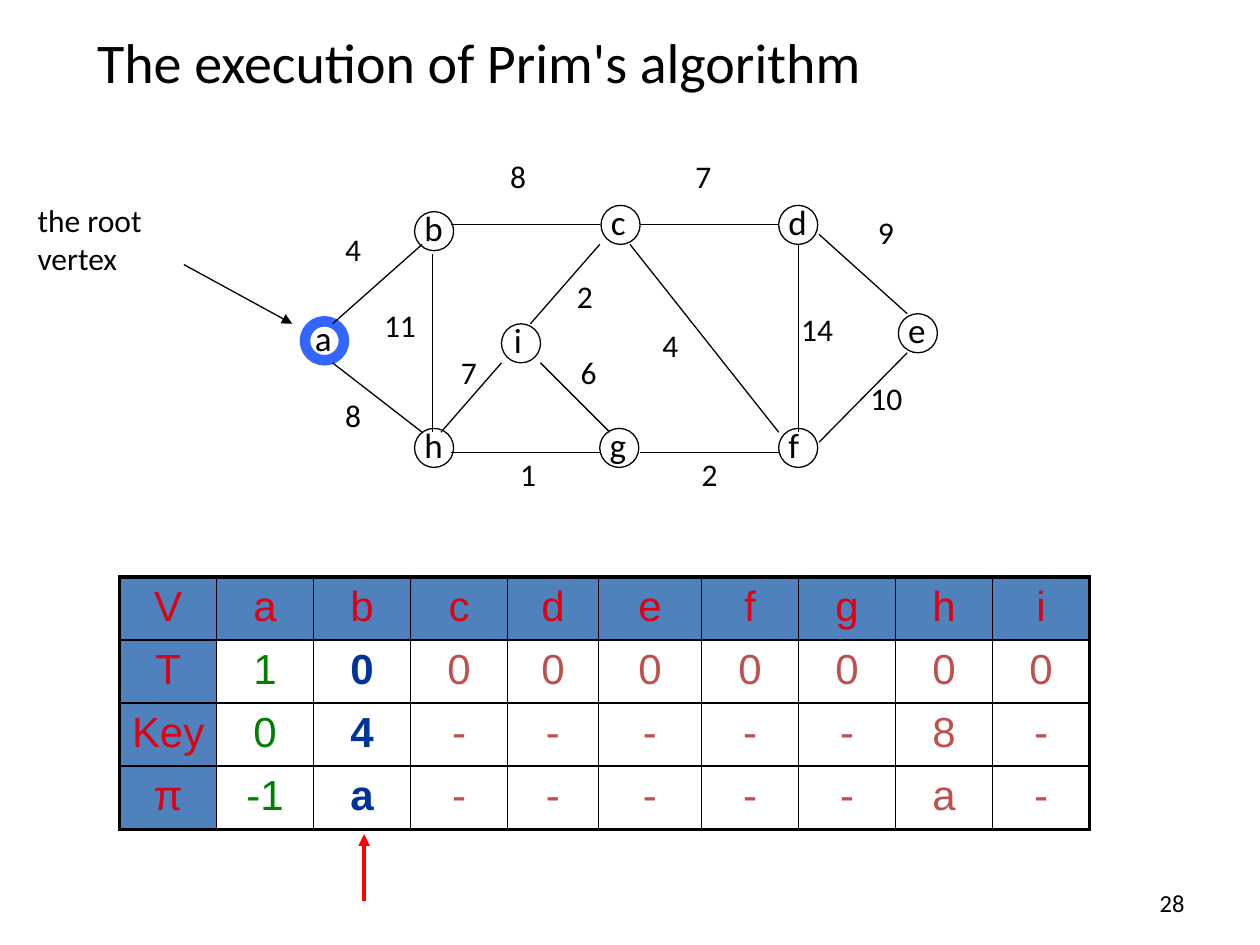
from pptx import Presentation
from pptx.dml.color import RGBColor
from pptx.enum.shapes import MSO_CONNECTOR, MSO_SHAPE
from pptx.enum.text import MSO_ANCHOR, PP_ALIGN
from pptx.oxml import parse_xml
from pptx.oxml.ns import nsdecls
from pptx.util import Emu, Pt

STRAIGHT = MSO_CONNECTOR.STRAIGHT
OVAL = MSO_SHAPE.OVAL
TOP = MSO_ANCHOR.TOP
LEFT, CENTER, RIGHT = PP_ALIGN.LEFT, PP_ALIGN.CENTER, PP_ALIGN.RIGHT

PX_PER_INCH = 100
BLACK, RED, ROOT_BLUE = "000000", "FF0000", "3366FF"
HEADER_FILL, HEADER_TEXT = "4F81BD", "DD0111"
DONE_TEXT, CURRENT_TEXT, WAITING_TEXT = "008000", "003399", "C0504D"
THIN, THICK = 1, 2.25

NODE_SIZE = 31
NODES = {
    "a": (2, 135), "b": (89, 48), "h": (89, 220), "c": (237, 43), "d": (378, 43),
    "e": (473, 129), "f": (378, 220), "g": (236, 220), "i": (158, 137),
}
EDGES = [
    ("4", (24, 137), (95, 74), (24, 58)),
    ("8", (24, 168), (95, 223), (24, 189)),
    ("11", (103, 82), (103, 223), (55, 118)),
    ("8", (118, 58), (236, 58), (155, 0)),
    ("1", (118, 239), (236, 239), (163, 236)),
    ("2", (268, 239), (378, 239), (307, 236)),
    ("4", (260, 74), (378, 223), (276, 134)),
    ("7", (268, 58), (378, 58), (302, 0)),
    ("14", (394, 74), (394, 223), (386, 121)),
    ("9", (410, 66), (480, 129), (447, 44)),
    ("10", (410, 231), (480, 160), (441, 176)),
    ("6", (189, 168), (244, 223), (211, 155)),
    ("7", (110, 223), (158, 168), (116, 155)),
    ("2", (181, 137), (236, 74), (208, 95)),
]
STATE_ROWS = [
    ["V", "a", "b", "c", "d", "e", "f", "g", "h", "i"],
    ["T", "1", "0", "0", "0", "0", "0", "0", "0", "0"],
    ["Key", "0", "4", "-", "-", "-", "-", "-", "8", "-"],
    ["π", "-1", "a", "-", "-", "-", "-", "-", "a", "-"],
]
COLUMN_WIDTHS = [77, 77, 77, 77, 72, 82, 77, 77, 77, 77]
ROW_HEIGHT = 50
CELL_SIDE_MARGIN = 4


def px(length):
    return Emu(length * 914400 // PX_PER_INCH)


def color(value):
    return RGBColor.from_string(value)


def write(frame, text, size, align=LEFT, text_color=BLACK, name="Calibri", bold=False):
    frame.text = text
    paragraph = frame.paragraphs[0]
    paragraph.alignment = align
    font_format = {"size": Pt(size), "name": name, "bold": bold}
    for attribute, value in font_format.items():
        setattr(paragraph.font, attribute, value)
    paragraph.font.color.rgb = color(text_color)


def add_label(shapes, box, text, size, align=LEFT):
    frame = shapes.add_textbox(*map(px, box)).text_frame
    frame.word_wrap = True
    write(frame, text, size, align)


def add_line(shapes, start, end, line_color=BLACK, width=0.75, arrow=False):
    connector = shapes.add_connector(STRAIGHT, *map(px, start + end))
    connector.line.color.rgb = color(line_color)
    connector.line.width = Pt(width)
    properties = connector._element.spPr
    if arrow:
        properties.get_or_add_ln().append(
            parse_xml(f'<a:tailEnd {nsdecls("a")} type="triangle"/>'))
    properties.append(parse_xml(f'<a:effectLst {nsdecls("a")}/>'))


def add_title(slide, box, text):
    title = slide.shapes.title
    geometry = dict(zip(("left", "top", "width", "height"), map(px, box)))
    for attribute, value in geometry.items():
        setattr(title, attribute, value)
    title.text_frame.vertical_anchor = TOP
    write(title.text_frame, text, 32)


def add_node(shapes, name, left, top):
    label_left = left if name == "i" else left - 2
    add_label(shapes, (label_left, top - 9, 34, 43), name, 20)
    circle = shapes.add_shape(OVAL, *map(px, (left, top, NODE_SIZE, NODE_SIZE)))
    circle.shadow.inherit = False
    circle.fill.background()
    is_root = name == "a"
    circle.line.color.rgb = color(ROOT_BLUE if is_root else BLACK)
    circle.line.width = Pt(6 if is_root else 0.75)


def add_graph(slide, left, top):
    def place(point):
        return left + point[0], top + point[1]

    shapes = slide.shapes.add_group_shape().shapes
    for name, corner in NODES.items():
        add_node(shapes, name, *place(corner))
    for weight, start, end, corner in EDGES:
        add_line(shapes, place(start), place(end))
        width = 37 if len(weight) == 1 else 53
        add_label(shapes, place(corner) + (width, 50), weight, 18)


def add_root_note(slide, left, top):
    add_label(slide.shapes, (left, top, 134, 90), "the root vertex", 18)
    add_line(slide.shapes, (left + 126, top + 55), (left + 212, top + 102), arrow=True)


def set_borders(cell, widths):
    properties = cell._tc.get_or_add_tcPr()
    for side, width in widths.items():
        properties.append(parse_xml(
            f'<a:ln{side} {nsdecls("a")} w="{Pt(width)}"><a:solidFill>'
            f'<a:srgbClr val="{BLACK}"/></a:solidFill></a:ln{side}>'))


def add_state_table(slide, left, top):
    last_row, last_column = len(STATE_ROWS) - 1, len(COLUMN_WIDTHS) - 1
    box = (left, top, sum(COLUMN_WIDTHS), ROW_HEIGHT * len(STATE_ROWS))
    table = slide.shapes.add_table(
        len(STATE_ROWS), len(COLUMN_WIDTHS), *map(px, box)).table
    for column, width in zip(table.columns, COLUMN_WIDTHS):
        column.width = px(width)
    text_colors = {1: DONE_TEXT, 2: CURRENT_TEXT}
    for row, values in enumerate(STATE_ROWS):
        table.rows[row].height = px(ROW_HEIGHT)
        for column, value in enumerate(values):
            cell = table.cell(row, column)
            cell.margin_left = cell.margin_right = px(CELL_SIDE_MARGIN)
            set_borders(cell, {
                "L": THICK if column == 0 else THIN,
                "R": THICK if column == last_column else THIN,
                "T": THICK if row == 0 else THIN,
                "B": THICK if row == last_row else THIN,
            })
            is_header = row == 0 or column == 0
            if is_header:
                cell.fill.solid()
                cell.fill.fore_color.rgb = color(HEADER_FILL)
                text_color = HEADER_TEXT
            else:
                cell.fill.background()
                text_color = text_colors.get(column, WAITING_TEXT)
            write(cell.text_frame, value, 24, CENTER, text_color, "Arial",
                  not is_header and column == 2)
    add_line(slide.shapes, (left + 194, top + 257), (left + 194, top + 204),
             RED, 2.25, arrow=True)


def main():
    presentation = Presentation()
    presentation.slide_width, presentation.slide_height = px(1000), px(750)
    slide = presentation.slides.add_slide(presentation.slide_layouts[5])
    add_title(slide, (67, 17, 858, 64), "The execution of Prim's algorithm")
    add_graph(slide, 240, 120)
    add_root_note(slide, 20, 155)
    add_state_table(slide, 95, 458)
    add_label(slide.shapes, (717, 700, 233, 35), "28", 14, RIGHT)
    presentation.save("out.pptx")


if __name__ == "__main__":
    main()
